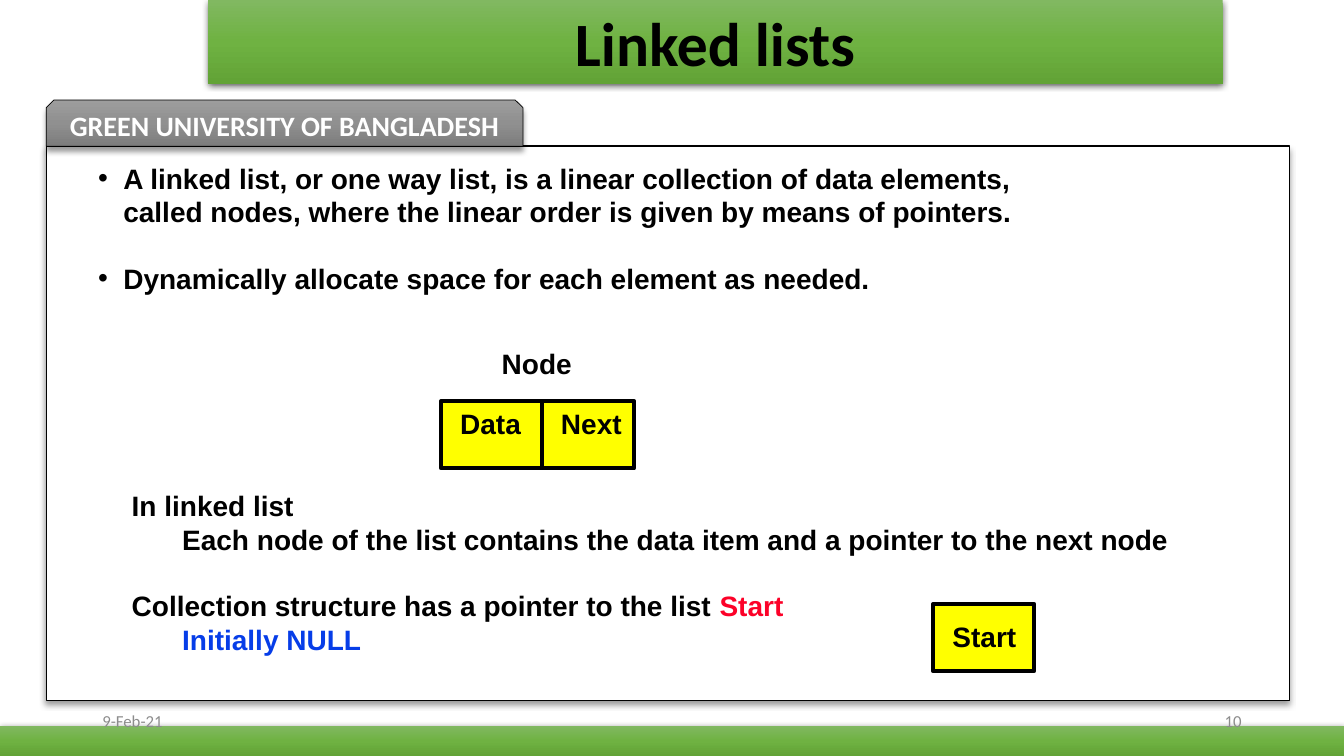
import pptx
import pptx.util
import pptx.dml.color
import pptx.enum.shapes
import pptx.enum.text
import pptx.oxml
import pptx.oxml.ns

Pt = pptx.util.Pt
SHAPE = pptx.enum.shapes.MSO_SHAPE
ALIGN = pptx.enum.text.PP_ALIGN
ANCHOR = pptx.enum.text.MSO_ANCHOR
AUTO_SIZE = pptx.enum.text.MSO_AUTO_SIZE

COLORS = {
    "black": "000000", "white": "FFFFFF", "muted": "8C8C8C",
    "node": "FFFF00", "start": "FC0128", "null": "063DE8",
}
GREEN = ("81B861", "6FB242", "62A336")
GRAY = ("9D9D9D", "909090", "7C7C7C")
BAR_SHADOW = (63, 4.5, 1.5)
PANEL_SHADOW = (40, 4, 3)

# The slide is a grid of 160 columns and 90 rows, 12 to the inch.
COLUMNS, ROWS = 160, 90
SLIDE_WIDTH, SLIDE_HEIGHT = pptx.util.Inches(13.33), pptx.util.Inches(7.5)
LINE_GAP = Pt(23.5)


def place(box):
    left, top, width, height = box
    column, row = SLIDE_WIDTH / COLUMNS, SLIDE_HEIGHT / ROWS
    return [round(n) for n in (left * column, top * row, width * column, height * row)]


def rgb(name):
    return pptx.dml.color.RGBColor.from_string(COLORS[name])


def drawing_xml(tag, body):
    return pptx.oxml.parse_xml(f"<a:{tag} {pptx.oxml.ns.nsdecls('a')}{body}")


def add_gradient(shape, stops):
    shape.fill.gradient()
    shape.fill.gradient_angle = 270
    stop_list = shape._element.spPr.find(".//" + pptx.oxml.ns.qn("a:gsLst"))
    for default_stop in list(stop_list):
        stop_list.remove(default_stop)
    for index, color in enumerate(stops):
        stop_list.append(drawing_xml(
            "gs", f' pos="{index * 50000}"><a:srgbClr val="{color}"/></a:gs>'))


def add_shadow(shape, opacity, blur, distance):
    effects = shape._element.spPr.find(pptx.oxml.ns.qn("a:effectLst"))
    effects.append(drawing_xml(
        "outerShdw",
        f' blurRad="{Pt(blur)}" dist="{Pt(distance)}" dir="5400000" rotWithShape="0">'
        f'<a:srgbClr val="{COLORS["black"]}"><a:alpha val="{opacity * 1000}"/>'
        '</a:srgbClr></a:outerShdw>'))


def add_block(shapes, box, fill, line=None, shadow=None, kind=SHAPE.RECTANGLE):
    """Draw a filled shape; fill is a colour name or a tuple of gradient stops."""
    block = shapes.add_shape(kind, *place(box))
    block.shadow.inherit = False
    if isinstance(fill, tuple):
        add_gradient(block, fill)
    else:
        block.fill.solid()
        block.fill.fore_color.rgb = rgb(fill)
    if line:
        block.line.color.rgb = rgb("black")
        block.line.width = Pt(line)
    else:
        block.line.fill.background()
    if shadow:
        add_shadow(block, *shadow)
    return block


def style_run(run, size=20, font="Arial", color="black", bold=True):
    run.font.size = Pt(size)
    run.font.name = font
    run.font.bold = bold
    run.font.color.rgb = rgb(color)


def write_line(holder, text, align, **style):
    frame = holder.text_frame
    frame.text = text
    frame.vertical_anchor = ANCHOR.MIDDLE
    frame.paragraphs[0].alignment = align
    style_run(frame.paragraphs[0].runs[0], **style)


def add_paragraphs(shapes, box, count):
    """Add a wrapping text box and return its paragraphs."""
    frame = shapes.add_textbox(*place(box)).text_frame
    frame.word_wrap = True
    frame.auto_size = AUTO_SIZE.SHAPE_TO_FIT_TEXT
    for _ in range(count - 1):
        frame.add_paragraph()
    return frame.paragraphs


def indent(paragraph, left, first=0):
    properties = paragraph._p.get_or_add_pPr()
    properties.set("marL", str(pptx.util.Inches(left)))
    properties.set("indent", str(pptx.util.Inches(first)))
    return properties


def add_label(shapes, box, text):
    frame = shapes.add_textbox(*place(box)).text_frame
    frame.word_wrap = False
    frame.auto_size = AUTO_SIZE.SHAPE_TO_FIT_TEXT
    frame.text = text
    style_run(frame.paragraphs[0].runs[0])


def add_title(shapes, box, text):
    banner = add_block(shapes, box, GREEN, shadow=BAR_SHADOW)
    write_line(banner, text, ALIGN.CENTER, size=44, font="Calibri")


def add_panel(shapes, box, heading):
    left, top, width, height = box
    add_block(shapes, box, "white", line=1, shadow=PANEL_SHADOW)
    tab = add_block(shapes, (left, top - 5.5, 56.75, 5.5), GRAY, line=0.5,
                    shadow=PANEL_SHADOW, kind=SHAPE.SNIP_2_SAME_RECTANGLE)
    write_line(tab, heading, ALIGN.CENTER, size=20, font="Calibri", color="white")


def add_footer(shapes, box, date, number):
    left, top, width, height = box
    add_block(shapes, box, GREEN, shadow=BAR_SHADOW)
    for text, column, align in ((date, 11, ALIGN.LEFT), (number, 113, ALIGN.RIGHT)):
        note = shapes.add_textbox(*place((left + column, top - 3, 36, 4.8)))
        note.text_frame.word_wrap = True
        write_line(note, text, align, size=12, font="Calibri", color="muted", bold=False)


def add_definition(shapes, box, points):
    paragraphs = add_paragraphs(shapes, box, len(points))
    for index, (paragraph, point) in enumerate(zip(paragraphs, points)):
        paragraph.text = point
        properties = indent(paragraph, 0.5, -0.25)
        properties.append(drawing_xml("buFont", ' typeface="Arial"/>'))
        properties.append(drawing_xml("buChar", ' char="•"/>'))
        if index:
            paragraph.space_before = LINE_GAP
        style_run(paragraph.runs[0])


def add_explanation(shapes, box, sections):
    """Each section is a heading, given as coloured runs, and one indented line."""
    paragraphs = iter(add_paragraphs(shapes, box, 2 * len(sections)))
    for index, section in enumerate(sections):
        for level, parts in enumerate(section):
            paragraph = next(paragraphs)
            paragraph.alignment = ALIGN.JUSTIFY
            indent(paragraph, 0.5 * level)
            if index and not level:
                paragraph.space_before = LINE_GAP
            for text, color in parts:
                run = paragraph.add_run()
                run.text = text
                style_run(run, color=color)


def add_node(shapes, box, caption, fields):
    """Draw a captioned node; fields pairs each name with its width in columns."""
    left, top, width, height = box
    node = shapes.add_group_shape().shapes
    for name, columns in fields:
        add_block(node, (left, top, columns, height), "node", line=3)
        add_label(node, (left + 1.1, top, 10.4, 5.2), name)
        left += columns
    add_label(node, (box[0] + 6.05, top - 7.05, 14, 5.2), caption)


def add_start_pointer(shapes, box, name):
    left, top, width, height = box
    pointer = shapes.add_group_shape().shapes
    add_block(pointer, box, "node", line=3)
    add_label(pointer, (left + 1.1, top + 1.3, 10.4, 5.2), name)


def main():
    deck = pptx.Presentation()
    deck.slide_width, deck.slide_height = SLIDE_WIDTH, SLIDE_HEIGHT
    shapes = deck.slides.add_slide(deck.slide_layouts[6]).shapes
    add_title(shapes, (24.72, 0, 120.84, 9.96), "Linked lists")
    add_panel(shapes, (5.5, 17.4, 148, 66), "GREEN UNIVERSITY OF BANGLADESH")
    add_footer(shapes, (0, 86.4, COLUMNS, 3.6), "9-Feb-21", "10")
    add_definition(shapes, (7.5, 18.6, 120, 21.36), [
        "A linked list, or one way list, is a linear collection of data elements, "
        "called nodes, where the linear order is given by means of pointers.",
        "Dynamically allocate space for each element as needed.",
    ])
    add_explanation(shapes, (14.5, 57.6, 131, 25.4), [
        ([("In linked list", "black")],
         [("Each node of the list contains the data item and a pointer to the next node",
           "black")]),
        ([("Collection structure has a pointer to the list ", "black"), ("Start", "start")],
         [("Initially NULL", "null")]),
    ])
    add_node(shapes, (52.5, 47.75, 23, 8), "Node", [("Data", 12), ("Next", 11)])
    add_start_pointer(shapes, (111.1, 71.9, 12, 8), "Start")
    deck.save("out.pptx")


if __name__ == "__main__":
    main()
